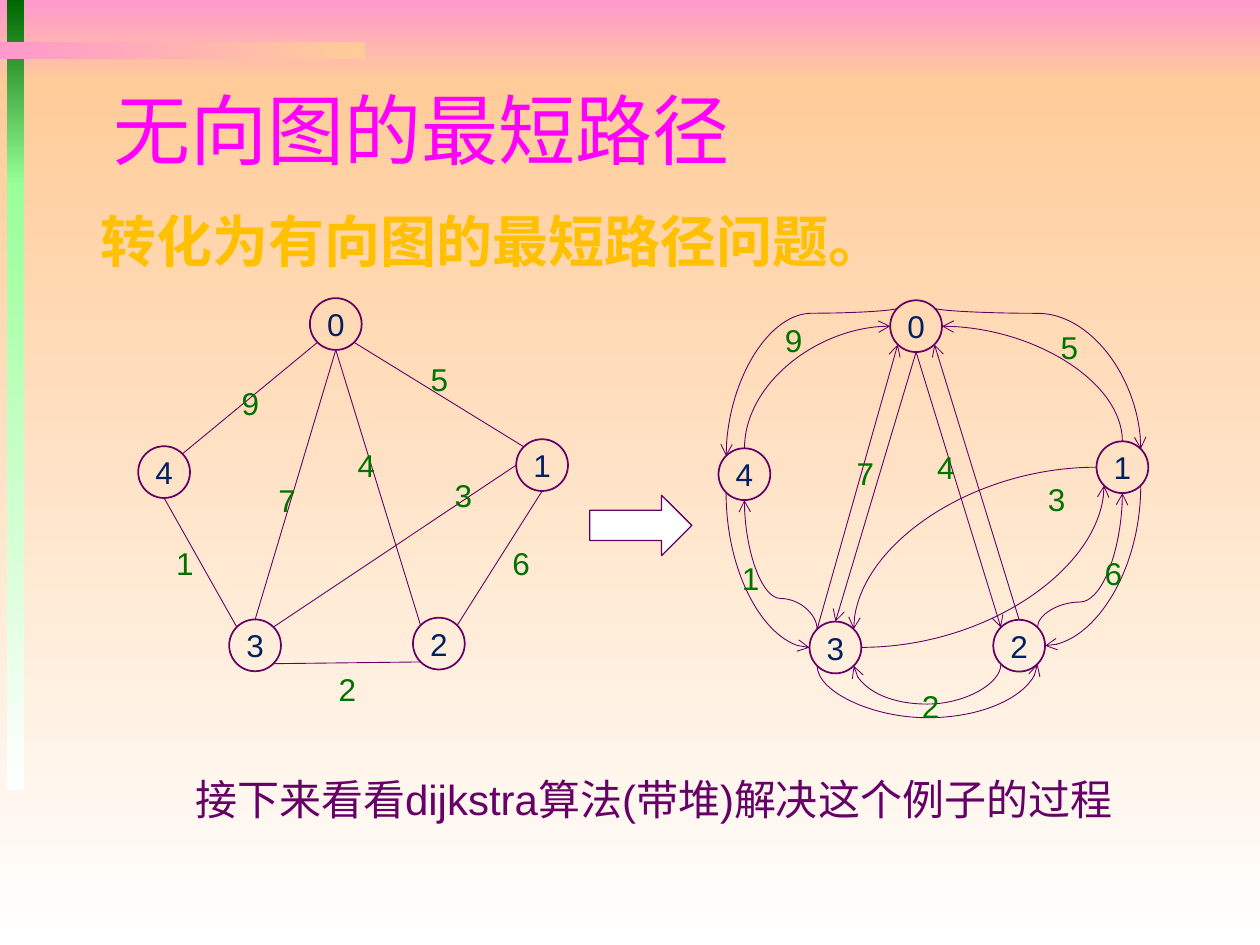
from math import cos, radians, sin

from lxml import etree
from pptx import Presentation
from pptx.dml.color import RGBColor
from pptx.enum.shapes import MSO_CONNECTOR, MSO_SHAPE
from pptx.enum.text import MSO_ANCHOR, PP_ALIGN
from pptx.oxml.ns import qn
from pptx.util import Pt

RECT, CIRCLE, ARROW = MSO_SHAPE.RECTANGLE, MSO_SHAPE.OVAL, MSO_SHAPE.RIGHT_ARROW
STRAIGHT, CURVE = MSO_CONNECTOR.STRAIGHT, MSO_CONNECTOR.CURVE
LEFT, CENTER = PP_ALIGN.LEFT, PP_ALIGN.CENTER
TOP, MIDDLE = MSO_ANCHOR.TOP, MSO_ANCHOR.MIDDLE

COLORS = {
    "pink": "FF99CC", "peach": "FFCC99", "white": "FFFFFF",
    "dark green": "006600", "light green": "99FF99",
    "outline": "660066", "node": "002060", "weight": "007200",
    "title": "FF00FF", "subtitle": "FFC000",
}


def rgb(name):
    return RGBColor.from_string(COLORS[name])


def write(shape, text, *, size, color, font="Arial", bold=False,
          align=LEFT, anchor=TOP, wrap=True, before=0):
    frame = shape.text_frame
    frame.word_wrap = wrap
    frame.vertical_anchor = anchor
    paragraph = frame.paragraphs[0]
    paragraph.alignment = align
    paragraph.space_before = Pt(before)
    run = paragraph.add_run()
    run.text = text
    run.font.size = Pt(size)
    run.font.name = font
    run.font.bold = bold
    run.font.color.rgb = rgb(color)


prs = Presentation()
prs.slide_width, prs.slide_height = Pt(720), Pt(540)
slide = prs.slides.add_slide(prs.slide_layouts[6])

# Background bands: left, top, width, height, first colour, last colour, angle
bands = [
    (0, 0, 720, 48, "pink", "peach", 270),
    (0, 48, 720, 492, "peach", "white", 270),
    (4, 0, 10, 106, "dark green", "light green", 270),
    (4, 105, 10, 346.5, "light green", "white", 270),
    (0, 24, 208.5, 10, "pink", "peach", 0),
]
for left, top, width, height, first, last, angle in bands:
    band = slide.shapes.add_shape(RECT, Pt(left), Pt(top), Pt(width), Pt(height))
    band.shadow.inherit = False
    band.line.fill.background()
    band.fill.gradient()
    band.fill.gradient_angle = angle
    for stop, color in zip(band.fill.gradient_stops, (first, last)):
        stop.color.rgb = rgb(color)

# Graph nodes: top left corners in the undirected graph
DIAMETER = 29.6
nodes = {0: (177.1, 170.4), 4: (79, 255), 3: (131, 354), 2: (236, 353), 1: (295, 251)}

# Edges: node and site it leaves, node and site it reaches, route.
# Sites run counterclockwise from 0 at the top in steps of 45 degrees.
# A route is a straight line, a quarter arc, or the height of a bend.
undirected = [
    (0, 3, 4, 7, "line"), (3, 1, 4, 4, "line"), (1, 1, 0, 5, "line"),
    (2, 3, 3, 5, "line"), (1, 4, 2, 7, "line"), (2, 1, 0, 4, "line"),
    (3, 0, 0, 4, "line"), (1, 2, 3, 7, "line"),
]
directed = [
    (0, 1, 4, 1, 179), (4, 3, 3, 2, "arc"), (0, 7, 1, 7, 179),
    (3, 3, 2, 5, 410.4), (1, 5, 2, 6, "arc"), (0, 4, 2, 1, "line"),
    (0, 4, 3, 0, "line"), (1, 2, 3, 7, "arc"), (2, 3, 3, 5, 402.5),
    (3, 6, 1, 3, "arc"), (3, 1, 4, 4, 342), (2, 7, 1, 4, 344),
    (4, 0, 0, 2, "arc"), (1, 0, 0, 6, "arc"), (3, 1, 0, 3, "line"),
    (2, 0, 0, 5, "line"),
]

# Edge weights: top left corners of their labels
undirected_weights = {
    9: (131, 216), 5: (239, 202.3), 4: (197.3, 251.3), 7: (152, 271.4),
    1: (93.6, 307.4), 2: (186.5, 379.4), 3: (252.7, 268.6), 6: (285.8, 307.4),
}
directed_weights = {
    9: (441.4, 180), 5: (599, 183.6), 4: (528.5, 252.7), 7: (482.4, 255.6),
    1: (416.9, 316), 2: (519.8, 388.8), 3: (591.8, 270.7), 6: (624.2, 313.2),
}

graphs = [
    (0, 0, undirected, undirected_weights, False),
    (331.6, 1.2, directed, directed_weights, True),
]
for shift_x, shift_y, edges, weights, has_arrows in graphs:
    graph = slide.shapes.add_group_shape().shapes
    circles, sites = {}, {}
    for node, (x, y) in nodes.items():
        left, top = x + shift_x, y + shift_y
        circle = graph.add_shape(CIRCLE, Pt(left), Pt(top), Pt(DIAMETER), Pt(DIAMETER))
        circle.shadow.inherit = False
        circle.fill.background()
        circle.line.color.rgb = rgb("outline")
        circle.line.width = Pt(1)
        write(circle, str(node), size=18, color="node",
              align=CENTER, anchor=MIDDLE, wrap=False)
        circles[node] = circle
        radius = DIAMETER / 2
        for site in range(8):
            turn = radians(45 * site)
            sites[node, site] = (left + radius - radius * sin(turn),
                                 top + radius - radius * cos(turn))

    for source, source_site, target, target_site, route in edges:
        x1, y1 = sites[source, source_site]
        x2, y2 = sites[target, target_site]
        # A curve that leaves vertically is a horizontal one turned by 90 degrees
        turned = route != "line" and source_site not in (2, 6)
        begin, end = (x1, y1), (x2, y2)
        if turned:
            mid_x, mid_y = (x1 + x2) / 2, (y1 + y2) / 2
            half_w, half_h = (y2 - y1) / 2, (x1 - x2) / 2
            begin = (mid_x - half_w, mid_y - half_h)
            end = (mid_x + half_w, mid_y + half_h)
        kind = STRAIGHT if route == "line" else CURVE
        edge = graph.add_connector(kind, *(Pt(v) for v in begin + end))
        edge.line.color.rgb = rgb("outline")
        edge.line.width = Pt(0.5)

        properties = edge._element.spPr
        geometry = properties.find(qn("a:prstGeom"))
        if turned:
            properties.find(qn("a:xfrm")).set("rot", str(90 * 60000))
        if route == "arc":
            geometry.set("prst", "curvedConnector2")
        elif route != "line":
            bend = round((route - y1) / (y2 - y1) * 100000)
            etree.SubElement(geometry.find(qn("a:avLst")), qn("a:gd"),
                             name="adj1", fmla=f"val {bend}")
        if has_arrows:
            etree.SubElement(properties.find(qn("a:ln")), qn("a:tailEnd"), type="arrow")
        etree.SubElement(properties, qn("a:effectLst"))

        # Glue both ends to their nodes
        glue = edge._element.find(".//" + qn("p:cNvCxnSpPr"))
        for tag, node, site in (("a:stCxn", source, source_site),
                                ("a:endCxn", target, target_site)):
            etree.SubElement(glue, qn(tag), id=str(circles[node].shape_id), idx=str(site))

    for weight, (left, top) in weights.items():
        label = graph.add_textbox(Pt(left), Pt(top), Pt(24.5), Pt(29))
        write(label, str(weight), size=18, color="weight", wrap=False)

# Arrow between the graphs
conversion = slide.shapes.add_shape(ARROW, Pt(337), Pt(283), Pt(58.3), Pt(34.5))
conversion.shadow.inherit = False
conversion.fill.solid()
conversion.fill.fore_color.rgb = rgb("white")
conversion.line.color.rgb = rgb("outline")
conversion.line.width = Pt(0.75)

# Title, statement and closing remark
title = slide.shapes.add_textbox(Pt(57.6), Pt(41), Pt(612), Pt(65))
write(title, "无向图的最短路径", size=44, color="title",
      font="Roboto Condensed", anchor=MIDDLE)
statement = slide.shapes.add_textbox(Pt(50.4), Pt(114.5), Pt(669.6), Pt(51))
write(statement, "转化为有向图的最短路径问题。", size=32, color="subtitle",
      bold=True, before=6.4)
remark = slide.shapes.add_textbox(Pt(104.4), Pt(438.5), Pt(540), Pt(36))
write(remark, "接下来看看dijkstra算法(带堆)解决这个例子的过程", size=24, color="outline")

prs.save("out.pptx")
